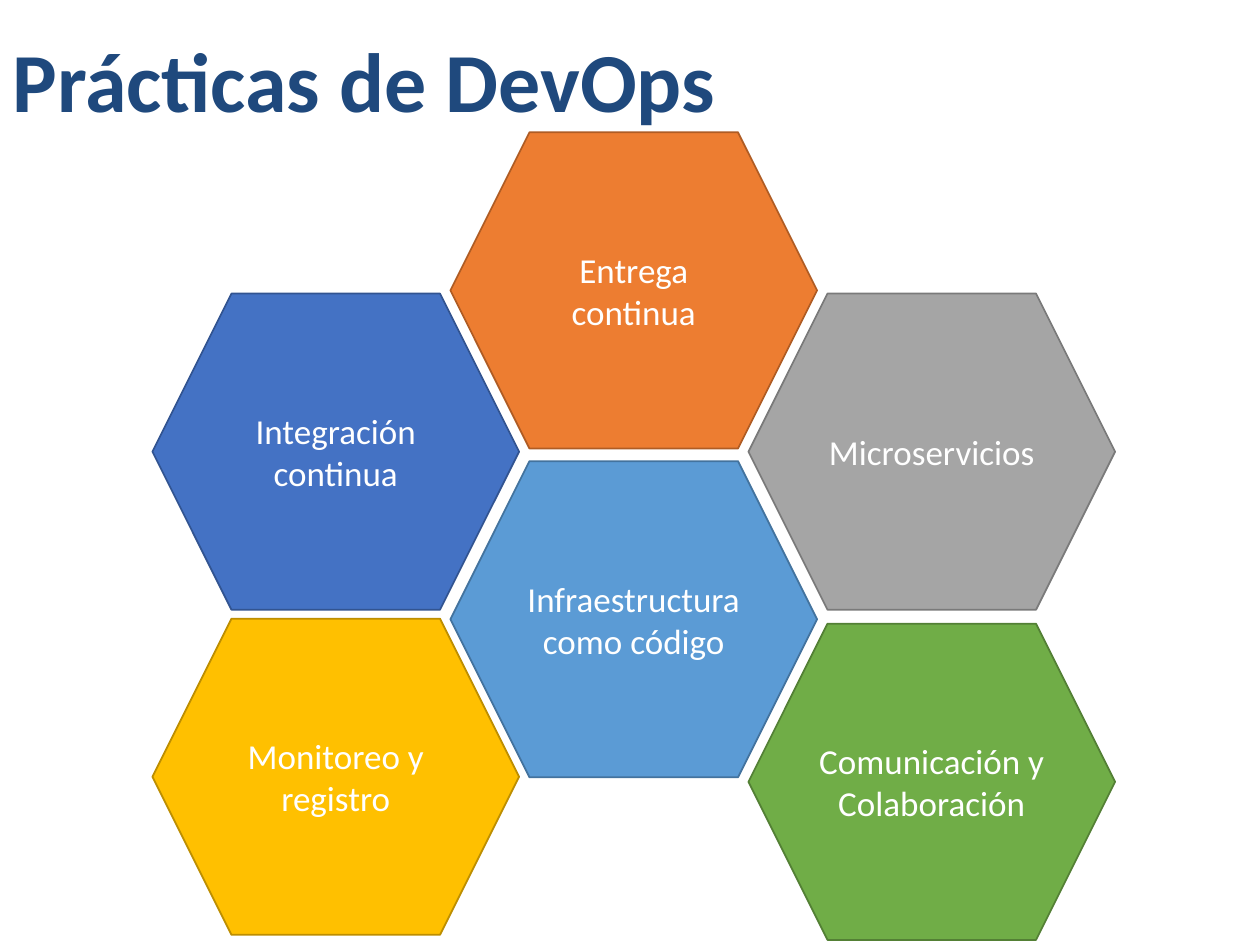
from dataclasses import dataclass

from pptx import Presentation
from pptx.dml.color import RGBColor
from pptx.enum import shapes, text
from pptx.util import Inches, Pt


@dataclass(frozen=True)
class Theme:
    font: str = "Calibri"
    title_size: int = 48
    label_size: int = 20
    line_width: int = 1
    title: str = "1F497D"
    label: str = "FFFFFF"
    blue: tuple = ("4472C4", "325491")
    orange: tuple = ("ED7D31", "AF5C24")
    gray: tuple = ("A5A5A5", "7A7A7A")
    sky: tuple = ("5B9BD5", "43739E")
    yellow: tuple = ("FFC000", "BD8E00")
    green: tuple = ("70AD47", "538035")


THEME = Theme()
HEX_W, HEX_H = 2.91, 2.51

PRACTICES = [
    ("Integración continua", 0, 1.28, THEME.blue),
    ("Entrega continua", 1, 0, THEME.orange),
    ("Microservicios", 2, 1.28, THEME.gray),
    ("Infraestructura como código", 1, 2.61, THEME.sky),
    ("Monitoreo y registro", 0, 3.86, THEME.yellow),
    ("Comunicación y Colaboración", 2, 3.9, THEME.green),
]


def write(sp, content, *, size, color, align, bold=False):
    tf = sp.text_frame
    tf.word_wrap = True
    tf.auto_size = text.MSO_AUTO_SIZE.NONE
    tf.vertical_anchor = text.MSO_ANCHOR.MIDDLE
    p = tf.paragraphs[0]
    p.alignment = align
    r = p.add_run()
    r.text = content
    r.font.name = THEME.font
    r.font.size = Pt(size)
    r.font.bold = bold
    r.font.color.rgb = RGBColor.from_string(color)


def add_title(s, left, top, width, height):
    sp = s.shapes.title
    sp.left, sp.top = Inches(left), Inches(top)
    sp.width, sp.height = Inches(width), Inches(height)
    write(sp, "Prácticas de DevOps", size=THEME.title_size, color=THEME.title,
          align=text.PP_ALIGN.LEFT, bold=True)


def add_hexagon(s, label, left, top, colors):
    fill, line = colors
    sp = s.shapes.add_shape(shapes.MSO_SHAPE.HEXAGON, Inches(left), Inches(top),
                            Inches(HEX_W), Inches(HEX_H))
    sp.shadow.inherit = False
    sp.fill.solid()
    sp.fill.fore_color.rgb = RGBColor.from_string(fill)
    sp.line.color.rgb = RGBColor.from_string(line)
    sp.line.width = Pt(THEME.line_width)
    write(sp, label, size=THEME.label_size, color=THEME.label,
          align=text.PP_ALIGN.CENTER)


def add_honeycomb(s, left, top, width):
    pitch = (width - HEX_W) / 2
    for label, column, drop, colors in PRACTICES:
        add_hexagon(s, label, left + column * pitch, top + drop, colors)


def main():
    prs = Presentation()
    prs.slide_width, prs.slide_height = Inches(10), Inches(7.5)
    s = prs.slides.add_slide(prs.slide_layouts.get_by_name("Title Only"))
    add_title(s, 0, 0, 10, 1.25)
    add_honeycomb(s, 1.21, 1.05, 7.64)
    prs.save("out.pptx")


if __name__ == "__main__":
    main()
